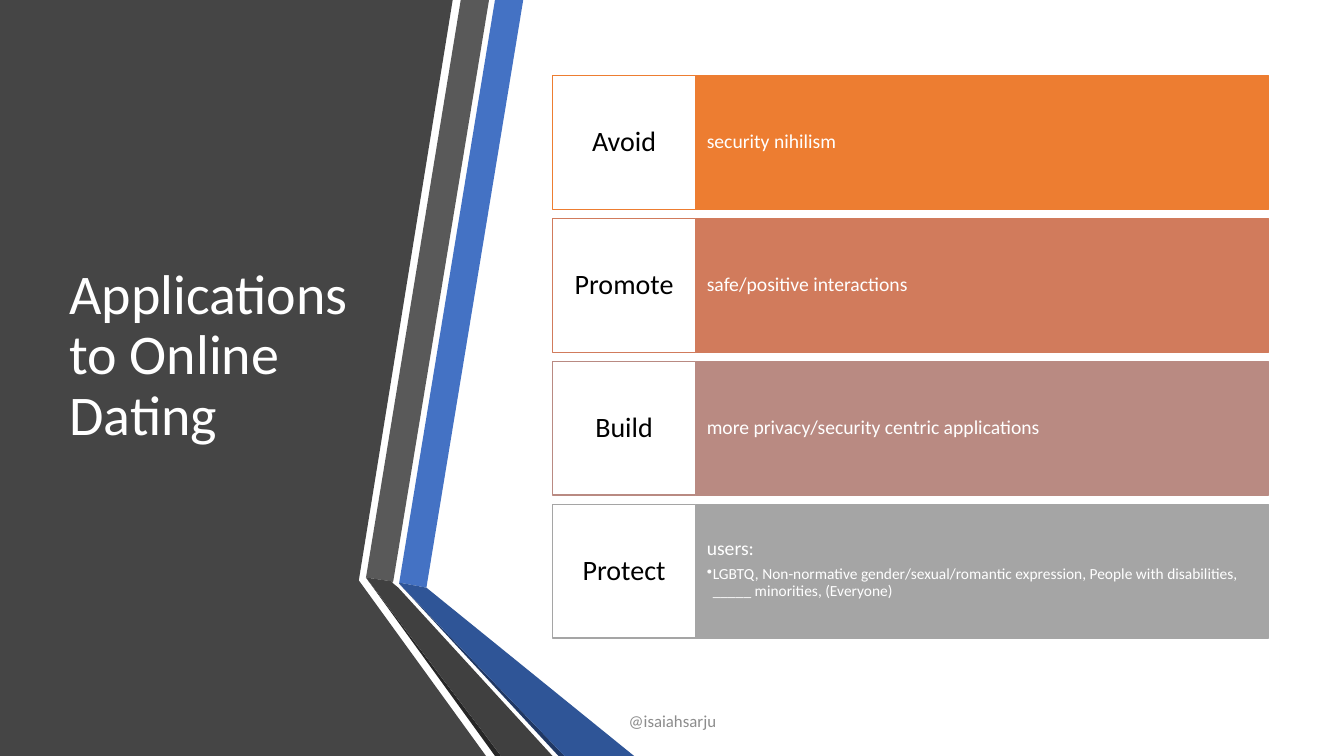
from lxml.etree import SubElement
from pptx import Presentation
from pptx.dml.color import RGBColor
from pptx.enum.shapes import MSO_SHAPE
from pptx.enum.text import MSO_ANCHOR, PP_ALIGN
from pptx.oxml.ns import qn
from pptx.util import Inches, Pt

FONT = "Calibri"
WHITE = RGBColor(0xFF, 0xFF, 0xFF)
BLACK = RGBColor(0x00, 0x00, 0x00)
FOOTER_GRAY = RGBColor(0x8C, 0x8C, 0x8C)
PANEL_GRAY = RGBColor(0x45, 0x45, 0x45)
GRAY = RGBColor(0x59, 0x59, 0x59)
DARK_GRAY = RGBColor(0x40, 0x40, 0x40)
DEEP_GRAY = RGBColor(0x26, 0x26, 0x26)
BLUE = RGBColor(0x44, 0x72, 0xC4)
DARK_BLUE = RGBColor(0x2F, 0x55, 0x97)
DEEP_BLUE = RGBColor(0x20, 0x38, 0x64)
ORANGE = RGBColor(0xED, 0x7D, 0x31)
TERRACOTTA = RGBColor(0xD1, 0x7B, 0x5C)
ROSE = RGBColor(0xB9, 0x8A, 0x82)
SILVER = RGBColor(0xA5, 0xA5, 0xA5)

# Outlines in inches from the top left of the backdrop, back to front
FOLDED_BANDS = [
    (PANEL_GRAY, [(0, 0), (4.49, 0), (3.56, 5.75), (3.56, 5.76), (4.82, 7.5), (0, 7.5)]),
    (BLUE, [(3.96, 5.78), (4.23, 5.83), (5.19, 0), (4.91, 0)]),
    (GRAY, [(4.85, 0), (4.57, 0), (3.63, 5.73), (3.9, 5.77)]),
    (DEEP_GRAY, [(3.63, 5.73), (4.91, 7.5), (4.97, 7.5)]),
    (DEEP_BLUE, [(3.96, 5.79), (5.54, 7.5), (5.6, 7.5)]),
    (DARK_BLUE, [(3.96, 5.79), (5.6, 7.5), (6.29, 7.5), (4.23, 5.83), (3.96, 5.78)]),
    (DARK_GRAY, [(5.48, 7.5), (3.95, 5.83), (3.89, 5.78), (3.9, 5.77), (3.63, 5.73),
                 (4.97, 7.5)]),
]

# Verb, statement, examples, colour
ACTIONS = [
    ("Avoid", "security nihilism", None, ORANGE),
    ("Promote", "safe/positive interactions", None, TERRACOTTA),
    ("Build", "more privacy/security centric applications", None, ROSE),
    ("Protect", "users:",
     "LGBTQ, Non-normative gender/sexual/romantic expression, "
     "People with disabilities, _____ minorities, (Everyone)", SILVER),
]


def style(paragraph, size, color, align=PP_ALIGN.LEFT, line_spacing=0.9):
    paragraph.alignment = align
    paragraph.line_spacing = line_spacing
    paragraph.font.name = FONT
    paragraph.font.size = Pt(size)
    paragraph.font.color.rgb = color


def add_backdrop(slide, left, top):
    for color, points in FOLDED_BANDS:
        # Freeform units are hundredths of an inch
        corners = [(round(x * 100), round(y * 100)) for x, y in points]
        builder = slide.shapes.build_freeform(*corners[0], scale=Inches(0.01))
        builder.add_line_segments(corners[1:], close=True)
        band = builder.convert_to_shape(Inches(left), Inches(top))
        band.shadow.inherit = False
        band.fill.solid()
        band.fill.fore_color.rgb = color
        band.line.fill.background()


def add_label(slide, left, top, width, height, text, size, color, align, line_spacing):
    label = slide.shapes.add_textbox(Inches(left), Inches(top), Inches(width), Inches(height))
    frame = label.text_frame
    frame.word_wrap = True
    frame.vertical_anchor = MSO_ANCHOR.MIDDLE
    frame.text = text
    style(frame.paragraphs[0], size, color, align, line_spacing)


def add_cell(slide, left, top, width, height, fill, border, inset_x, inset_y):
    cell = slide.shapes.add_shape(MSO_SHAPE.RECTANGLE, Inches(left), Inches(top),
                                  Inches(width), Inches(height))
    cell.shadow.inherit = False
    cell.fill.solid()
    cell.fill.fore_color.rgb = fill
    cell.line.color.rgb = border
    cell.line.width = Pt(1)
    frame = cell.text_frame
    frame.word_wrap = True
    frame.vertical_anchor = MSO_ANCHOR.MIDDLE
    frame.margin_left = frame.margin_right = Inches(inset_x)
    frame.margin_top = frame.margin_bottom = Inches(inset_y)
    return frame


def add_examples(frame, examples):
    frame.vertical_anchor = MSO_ANCHOR.TOP
    frame.paragraphs[0].space_after = Pt(5)
    paragraph = frame.add_paragraph()
    paragraph.text = examples
    paragraph.level = 1
    properties = paragraph._p.get_or_add_pPr()
    properties.set("marL", str(Inches(0.06)))
    properties.set("indent", str(Inches(-0.06)))
    SubElement(properties, qn("a:buChar")).set("char", "•")
    style(paragraph, 11, WHITE)


def add_action_rows(slide, left, top, width, height):
    gap = 0.09
    row_height = (height - gap * (len(ACTIONS) - 1)) / len(ACTIONS)
    verb_width = width / 5
    for index, (verb, statement, examples, color) in enumerate(ACTIONS):
        row_top = top + index * (row_height + gap)
        # Coloured statement
        frame = add_cell(slide, left + verb_width, row_top, width - verb_width, row_height,
                         color, color, 0.11, 0.34)
        frame.text = statement
        style(frame.paragraphs[0], 14, WHITE)
        if examples:
            add_examples(frame, examples)
        # White verb box
        frame = add_cell(slide, left, row_top, verb_width, row_height,
                         WHITE, color, 0.08, 0.13)
        frame.text = verb
        style(frame.paragraphs[0], 20, BLACK, PP_ALIGN.CENTER)


def main():
    prs = Presentation()
    prs.slide_width = Inches(13.33)
    prs.slide_height = Inches(7.5)
    slide = prs.slides.add_slide(prs.slide_layouts[6])

    add_backdrop(slide, 0, 0)
    # Title
    add_label(slide, 0.59, 0.75, 3.04, 5.58, "Applications to Online Dating",
              40, WHITE, PP_ALIGN.LEFT, 0.9)
    add_action_rows(slide, 5.48, 0.75, 7.1, 5.58)
    # Footer
    add_label(slide, 4.42, 6.95, 4.5, 0.4, "@isaiahsarju",
              12, FOOTER_GRAY, PP_ALIGN.CENTER, 1.0)

    prs.save("out.pptx")


if __name__ == "__main__":
    main()
